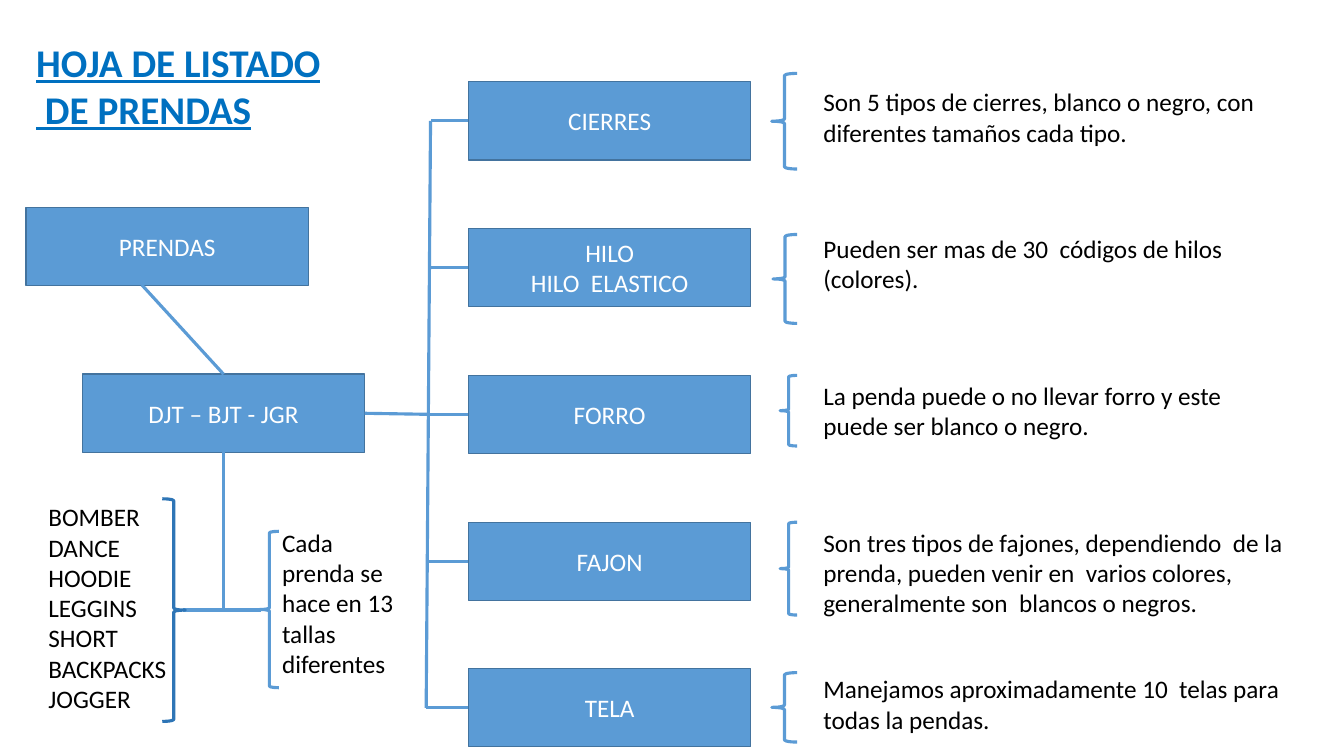
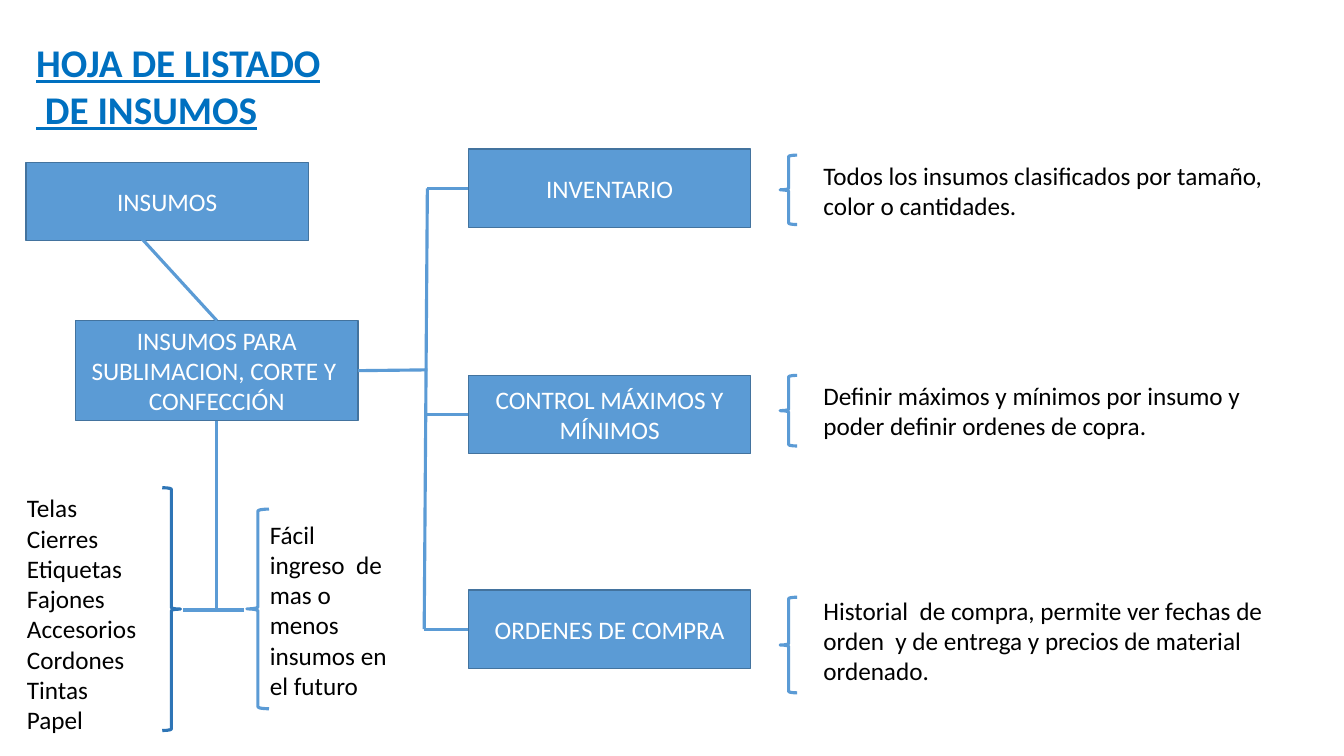
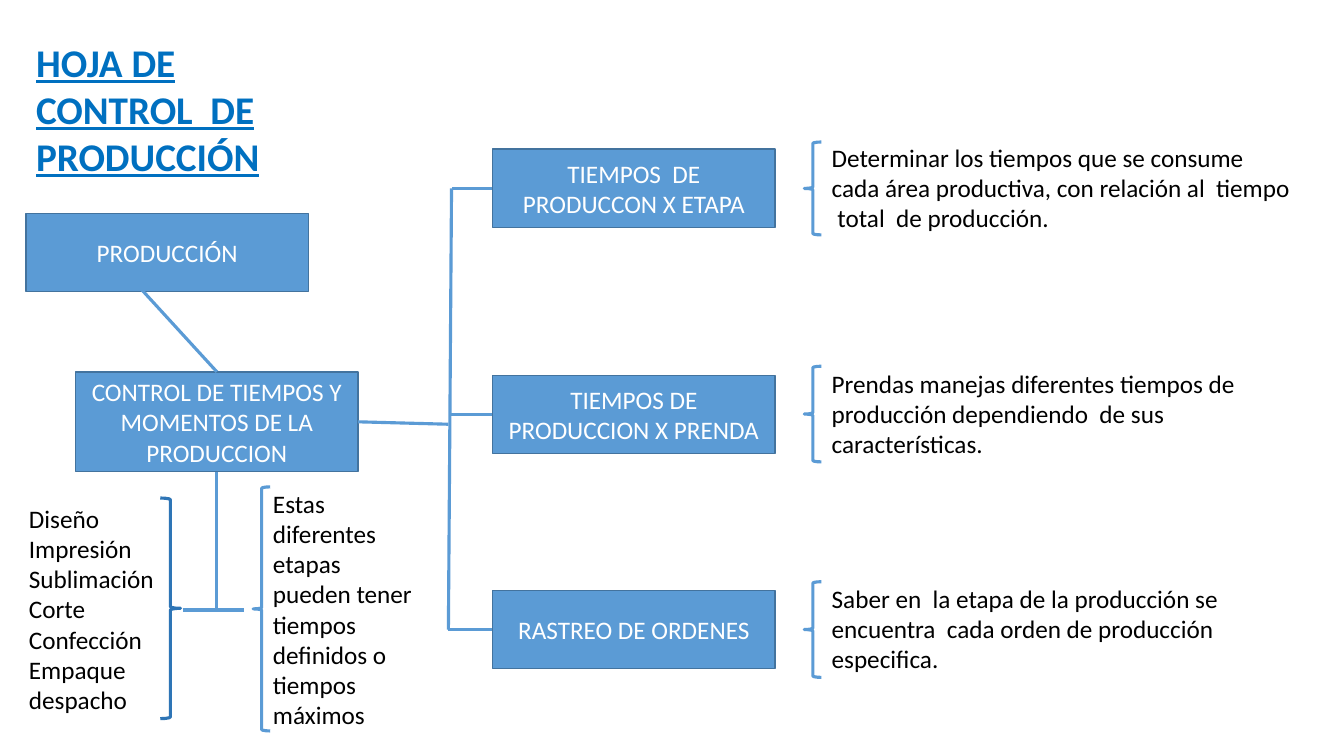
import dataclasses
import pptx
import pptx.dml.color
import pptx.enum.shapes
import pptx.enum.text
import pptx.oxml.ns
import pptx.util
import lxml.etree

Cm = pptx.util.Cm
PRESET = pptx.enum.shapes.MSO_SHAPE
ALIGN = pptx.enum.text.PP_ALIGN
BLUE = pptx.dml.color.RGBColor(0x5B, 0x9B, 0xD5)
BORDER = pptx.dml.color.RGBColor(0x43, 0x73, 0x9E)
DEEP_BLUE = pptx.dml.color.RGBColor(0x2E, 0x75, 0xB6)
TITLE_BLUE = pptx.dml.color.RGBColor(0x00, 0x70, 0xC0)
WHITE = pptx.dml.color.RGBColor(0xFF, 0xFF, 0xFF)
BLACK = pptx.dml.color.RGBColor(0, 0, 0)
FONT = "Calibri"
NODE_WIDTH, NODE_HEIGHT = 7.11, 1.97
BAR_Y = 15.37


@dataclasses.dataclass
class Box:
    left: float
    top: float
    width: float
    height: float

    @property
    def right(self):
        return self.left + self.width

    @property
    def bottom(self):
        return self.top + self.height

    @property
    def center(self):
        return self.left + self.width / 2

    @property
    def middle(self):
        return self.top + self.height / 2

    def lengths(self):
        return Cm(self.left), Cm(self.top), Cm(self.width), Cm(self.height)


@dataclasses.dataclass
class Branch:
    label: str
    top: float
    note: str
    brace_height: float
    brace_shift: float = 0
    brace_width: float = 0.43
    note_shift: float = 0
    note_lines: int = 2


def write(frame, text, size=18, color=BLACK, bold=False, underline=False, align=ALIGN.LEFT):
    frame.word_wrap = True
    frame.text = text
    for paragraph in frame.paragraphs:
        paragraph.alignment = align
        for run in paragraph.runs:
            run.font.name = FONT
            run.font.size = pptx.util.Pt(size)
            run.font.color.rgb = color
            run.font.bold = bold
            run.font.underline = underline


def add_text(slide, box, text, **style):
    frame = slide.shapes.add_textbox(*box.lengths()).text_frame
    write(frame, text, **style)
    frame.auto_size = pptx.enum.text.MSO_AUTO_SIZE.SHAPE_TO_FIT_TEXT


def add_node(slide, box, label):
    node = slide.shapes.add_shape(PRESET.RECTANGLE, *box.lengths())
    node.shadow.inherit = False
    node.fill.solid()
    node.fill.fore_color.rgb = BLUE
    node.line.color.rgb = BORDER
    node.line.width = pptx.util.Pt(1)
    node.text_frame.vertical_anchor = pptx.enum.text.MSO_ANCHOR.MIDDLE
    write(node.text_frame, label, color=WHITE, align=ALIGN.CENTER)


def add_brace(slide, box, preset=PRESET.LEFT_BRACE, color=BLUE):
    brace = slide.shapes.add_shape(preset, *box.lengths())
    brace.shadow.inherit = False
    brace.fill.background()
    brace.line.color.rgb = color
    brace.line.width = pptx.util.Pt(2.25)


def add_link(slide, start, end):
    link = slide.shapes.add_connector(
        pptx.enum.shapes.MSO_CONNECTOR.STRAIGHT, *(Cm(length) for length in (*start, *end)))
    link.line.color.rgb = BLUE
    link.line.width = pptx.util.Pt(2.25)
    lxml.etree.SubElement(link._element.spPr, pptx.oxml.ns.qn("a:effectLst"))


def add_stem(slide, root, root_label, group, group_label, bar_end):
    add_node(slide, root, root_label)
    add_node(slide, group, group_label)
    add_link(slide, (group.center - 2.06, group.top - 2.25), (group.center, group.top))
    add_link(slide, (group.center, group.bottom), (group.center, BAR_Y))
    add_link(slide, (4.62, BAR_Y), (5.64, BAR_Y))
    add_link(slide, (5.64, BAR_Y), (bar_end, BAR_Y))


def add_details(slide, items_box, items, items_brace, remark_box, remark, remark_brace):
    add_text(slide, items_box, items)
    add_brace(slide, items_brace, PRESET.RIGHT_BRACE, DEEP_BLUE)
    add_text(slide, remark_box, remark)
    add_brace(slide, remark_brace)


def add_branch(slide, node, branch, note_gap):
    add_node(slide, node, branch.label)
    add_brace(slide, Box(node.right + 1.17 - branch.brace_width, node.top + branch.brace_shift,
                         branch.brace_width, branch.brace_height))
    add_text(slide, Box(node.right + note_gap, node.top + branch.note_shift,
                        12.17, 0.27 + 0.77 * branch.note_lines), branch.note)


def add_tree(slide, left, branches, trunk_gaps, feed_start, feed_end, note_gap=1.58):
    nodes = [Box(left, branch.top, NODE_WIDTH, NODE_HEIGHT) for branch in branches]
    first, last = nodes[0].middle, nodes[-1].middle
    top_gap, bottom_gap = trunk_gaps
    add_link(slide, (left - top_gap, first), (left - bottom_gap, last))
    add_link(slide, feed_start, feed_end)
    for node, branch in zip(nodes, branches):
        share = (node.middle - first) / (last - first)
        gap = top_gap + (bottom_gap - top_gap) * share
        add_link(slide, (left, node.middle), (left - gap, node.middle))
        add_branch(slide, node, branch, note_gap)


def add_sheet(deck, title, title_height, root_top, root_label, group, group_label,
              bar_end, details, tree_left, branches, trunk_gaps, feed_end, **tree_style):
    slide = deck.slides.add_slide(deck.slide_layouts[6])
    add_text(slide, Box(0.66, 0.84, 7.87, title_height), title,
             size=28, color=TITLE_BLUE, bold=True, underline=True)
    add_stem(slide, Box(0.66, root_top, NODE_WIDTH, NODE_HEIGHT), root_label,
             group, group_label, bar_end)
    add_tree(slide, tree_left, branches, trunk_gaps, (group.right, group.middle),
             feed_end, **tree_style)
    add_details(slide, *details)


deck = pptx.Presentation()
deck.slide_width, deck.slide_height = Cm(33.87), Cm(19.05)

add_sheet(
    deck, "HOJA DE LISTADO  DE PRENDAS", 2.64, 5.23, "PRENDAS",
    Box(2.08, 9.43, NODE_WIDTH, NODE_HEIGHT), "DJT – BJT - JGR", 6.58,
    (Box(0.97, 12.52, 4.29, 5.64),
     "BOMBER\nDANCE\nHOODIE\nLEGGINS\nSHORT\nBACKPACKS\nJOGGER",
     Box(4.09, 12.57, 0.58, 5.61),
     Box(6.86, 13.16, 3.63, 4.11), "Cada prenda se hace en 13 tallas diferentes",
     Box(6.55, 13.39, 0.48, 3.94)),
    11.81,
    [Branch("CIERRES", 2.06,
            "Son 5 tipos de cierres, blanco o negro, con  diferentes tamaños cada tipo.",
            2.41, -0.21, 0.64),
     Branch("HILO\nHILO  ELASTICO", 5.76,
            "Pueden ser mas de 30  códigos de hilos (colores).", 2.24, 0.15, 0.61),
     Branch("FORRO", 9.46,
            "La penda puede o no llevar forro y este puede ser blanco o negro.", 1.78),
     Branch("FAJON", 13.16,
            "Son tres tipos de fajones, dependiendo  de la prenda, pueden venir en  "
            "varios colores, generalmente son  blancos o negros.", 2.34, note_lines=3),
     Branch("TELA", 16.85,
            "Manejamos aproximadamente 10  telas para todas la pendas.", 1.75, 0.1, 0.64)],
    (0.96, 1.07), (10.77, 10.44))

add_sheet(
    deck, "HOJA DE LISTADO  DE INSUMOS", 2.64, 4.09, "INSUMOS",
    Box(1.91, 8.08, NODE_WIDTH, 2.52), "INSUMOS PARA SUBLIMACION, CORTE Y  CONFECCIÓN", 6.15,
    (Box(0.43, 12.29, 4.29, 7.19),
     "Telas\nCierres\nEtiquetas\nFajones\nAccesorios\nCordones\nTintas\nPapel",
     Box(4.09, 12.29, 0.46, 6.12),
     Box(6.55, 12.95, 3.63, 4.88), "Fácil ingreso  de mas o menos insumos en el futuro",
     Box(6.22, 12.83, 0.56, 5.03)),
    11.81,
    [Branch("INVENTARIO", 3.76,
            "Todos los insumos clasificados por tamaño, color o cantidades.",
            1.75, 0.15, note_shift=0.15),
     Branch("CONTROL MÁXIMOS Y MÍNIMOS", 9.46,
            "Definir máximos y mínimos por insumo y poder definir ordenes de copra.", 1.78),
     Branch("ORDENES DE COMPRA", 14.87,
            "Historial  de compra, permite ver fechas de orden  y de entrega y precios "
            "de material  ordenado.", 2.41, 0.18, note_lines=3)],
    (1.04, 1.12), (10.77, 9.32))

add_sheet(
    deck, "HOJA DE CONTROL  DE PRODUCCIÓN", 3.84, 5.38, "PRODUCCIÓN",
    Box(1.91, 9.37, NODE_WIDTH, 2.52), "CONTROL DE TIEMPOS Y MOMENTOS DE LA PRODUCCION", 6.15,
    (Box(0.48, 12.55, 4.29, 6.4),
     "Diseño\nImpresión\nSublimación\nCorte\nConfección\nEmpaque\ndespacho",
     Box(4.04, 12.55, 0.51, 5.56),
     Box(6.63, 12.17, 4.11, 6.4),
     "Estas diferentes etapas pueden tener tiempos definidos o tiempos máximos",
     Box(6.38, 12.27, 0.43, 6.15)),
    12.42,
    [Branch("TIEMPOS  DE PRODUCCON X ETAPA", 3.76,
            "Determinar los tiempos que se consume cada área productiva, con relación al  "
            "tiempo  total  de producción.", 2.34, -0.18, note_shift=-0.31, note_lines=3),
     Branch("TIEMPOS DE PRODUCCION X PRENDA", 9.46,
            "Prendas manejas diferentes tiempos de producción dependiendo  de sus "
            "características.", 2.41, -0.23, note_shift=-0.31, note_lines=3),
     Branch("RASTREO DE ORDENES", 14.88,
            "Saber en  la etapa de la producción se encuentra  cada orden de producción "
            "especifica.", 2.41, -0.22, note_shift=-0.31, note_lines=3)],
    (1.04, 1.12), (11.3, 10.69), note_gap=1.18)

deck.save("out.pptx")
